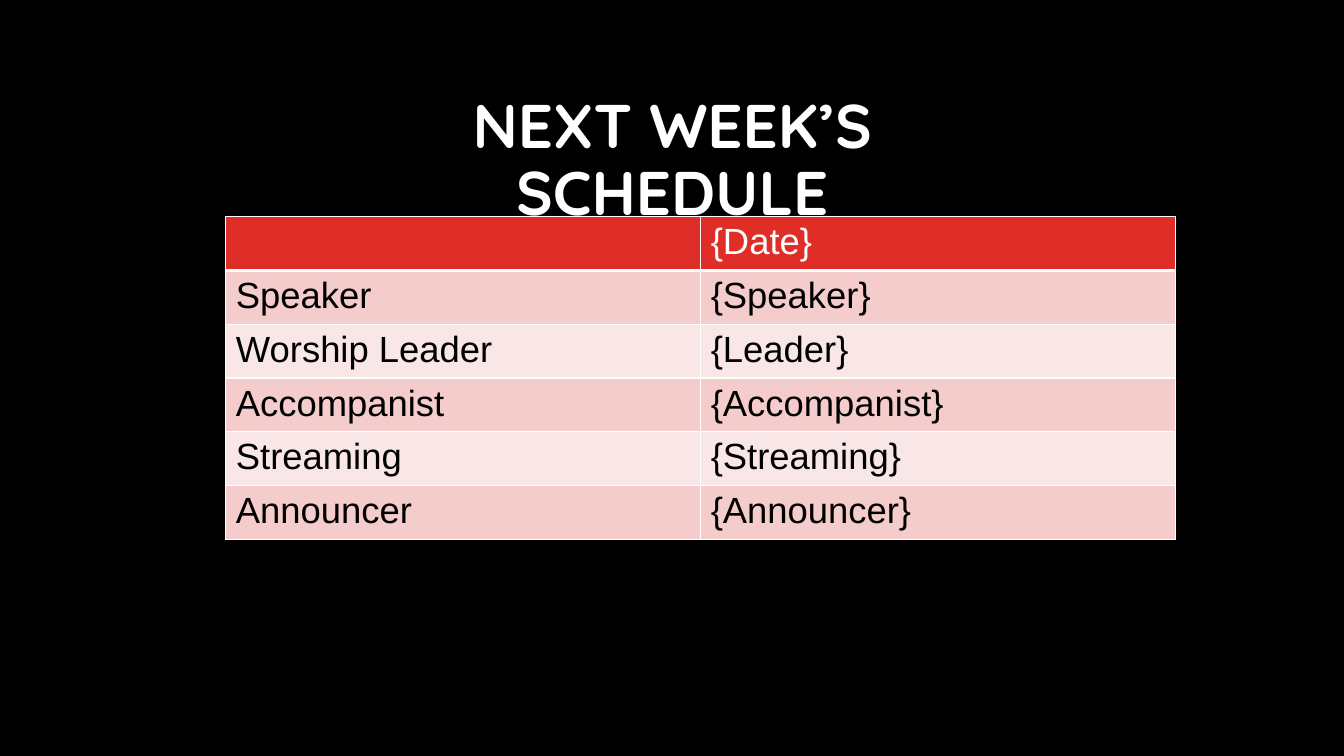
import pptx
import pptx.dml.color
import pptx.enum.text
import pptx.oxml
import pptx.oxml.ns
import pptx.util

Inches = pptx.util.Inches
Pt = pptx.util.Pt
RGBColor = pptx.dml.color.RGBColor

BLACK = RGBColor(0x00, 0x00, 0x00)
WHITE = RGBColor(0xFF, 0xFF, 0xFF)
RED = RGBColor(0xDF, 0x2E, 0x28)
ROSE = RGBColor(0xF3, 0xCC, 0xCB)
BLUSH = RGBColor(0xF9, 0xE7, 0xE7)

SCHEDULE = [
    ("", "{Date}"),
    ("Speaker", "{Speaker}"),
    ("Worship Leader", "{Leader}"),
    ("Accompanist", "{Accompanist}"),
    ("Streaming", "{Streaming}"),
    ("Announcer", "{Announcer}"),
]


class ScheduleSlide:
    heading_font = "Quicksand"
    body_font = "Arial"

    def __init__(self, presentation):
        self.slide = presentation.slides.add_slide(presentation.slide_layouts[6])
        background = self.slide.background.fill
        background.solid()
        background.fore_color.rgb = BLACK

    def style(self, paragraph, name, size, color, bold=False):
        font = paragraph.font
        font.name, font.size, font.bold = name, Pt(size), bold
        font.color.rgb = color

    def title(self, text, left, top, width, height):
        box = self.slide.shapes.add_textbox(
            Inches(left), Inches(top), Inches(width), Inches(height))
        frame = box.text_frame
        frame.word_wrap = True
        frame.vertical_anchor = pptx.enum.text.MSO_ANCHOR.MIDDLE
        heading = frame.paragraphs[0]
        heading.text = text
        heading.alignment = pptx.enum.text.PP_ALIGN.CENTER
        heading.line_spacing = 0.9
        self.style(heading, self.heading_font, 44, WHITE, bold=True)

    def border(self, cell, side, width):
        line = pptx.oxml.parse_xml(
            f'<a:{side} {pptx.oxml.ns.nsdecls("a")} w="{Pt(width)}">'
            f'<a:solidFill><a:srgbClr val="{WHITE}"/></a:solidFill></a:{side}>')
        cell._tc.get_or_add_tcPr().append(line)

    def table(self, rows, left, top, column_width, row_height):
        columns = len(rows[0])
        table = self.slide.shapes.add_table(
            len(rows), columns, Inches(left), Inches(top),
            Inches(column_width * columns), Inches(row_height * len(rows))).table
        for r, row in enumerate(rows):
            fill = RED if r == 0 else (BLUSH, ROSE)[r % 2]
            for c, text in enumerate(row):
                cell = table.cell(r, c)
                # Borders come before the fill in the cell properties
                for side in ("lnL", "lnR", "lnT", "lnB"):
                    heavy = (r, side) in ((0, "lnB"), (1, "lnT"))
                    self.border(cell, side, 3 if heavy else 1)
                cell.fill.solid()
                cell.fill.fore_color.rgb = fill
                entry = cell.text_frame.paragraphs[0]
                if text:
                    entry.text = text
                self.style(entry, self.body_font, 26, WHITE if r == 0 else BLACK)


def main():
    presentation = pptx.Presentation()
    presentation.slide_width = Inches(13.33)
    presentation.slide_height = Inches(7.5)
    schedule = ScheduleSlide(presentation)

    # Heading
    schedule.title("NEXT WEEK’S SCHEDULE", 3.18, 0.9, 6.98, 1.41)

    # Roles and names
    schedule.table(SCHEDULE, 2.24, 2.15, 4.71, 0.5)

    presentation.save("out.pptx")


if __name__ == "__main__":
    main()
